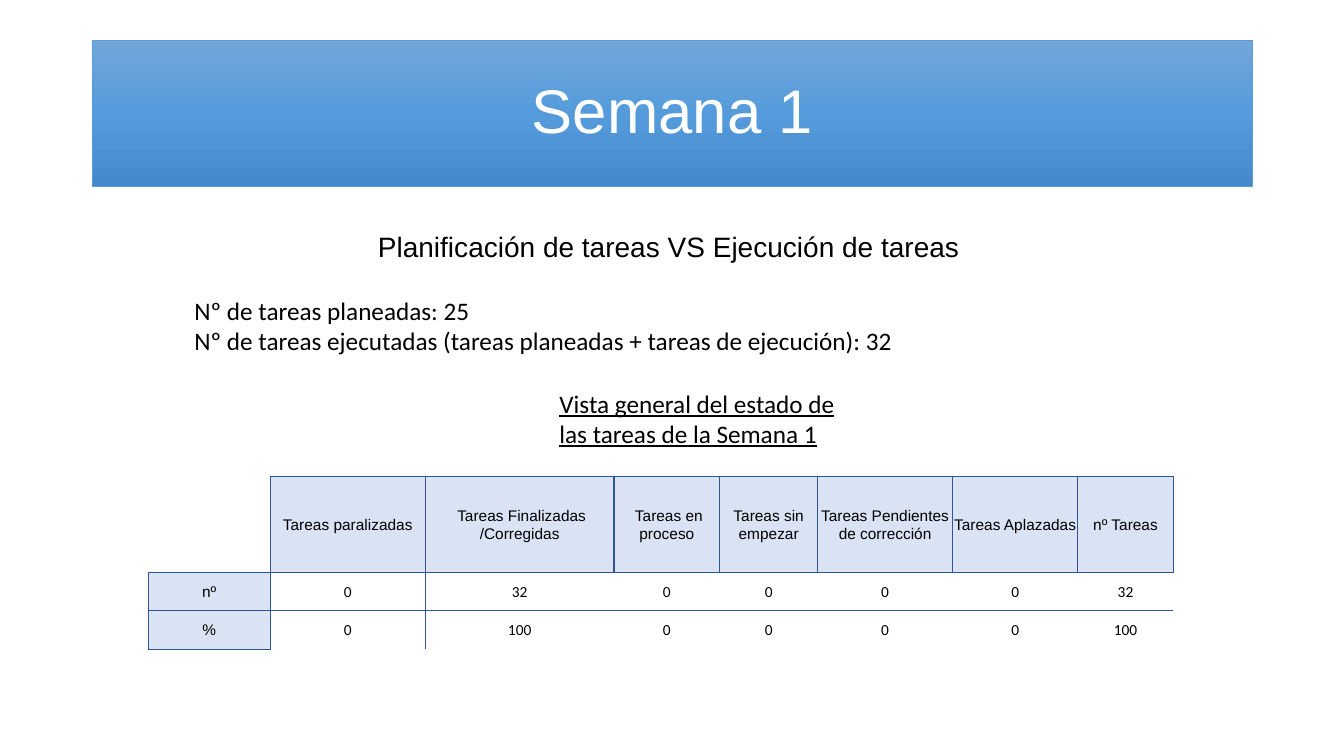
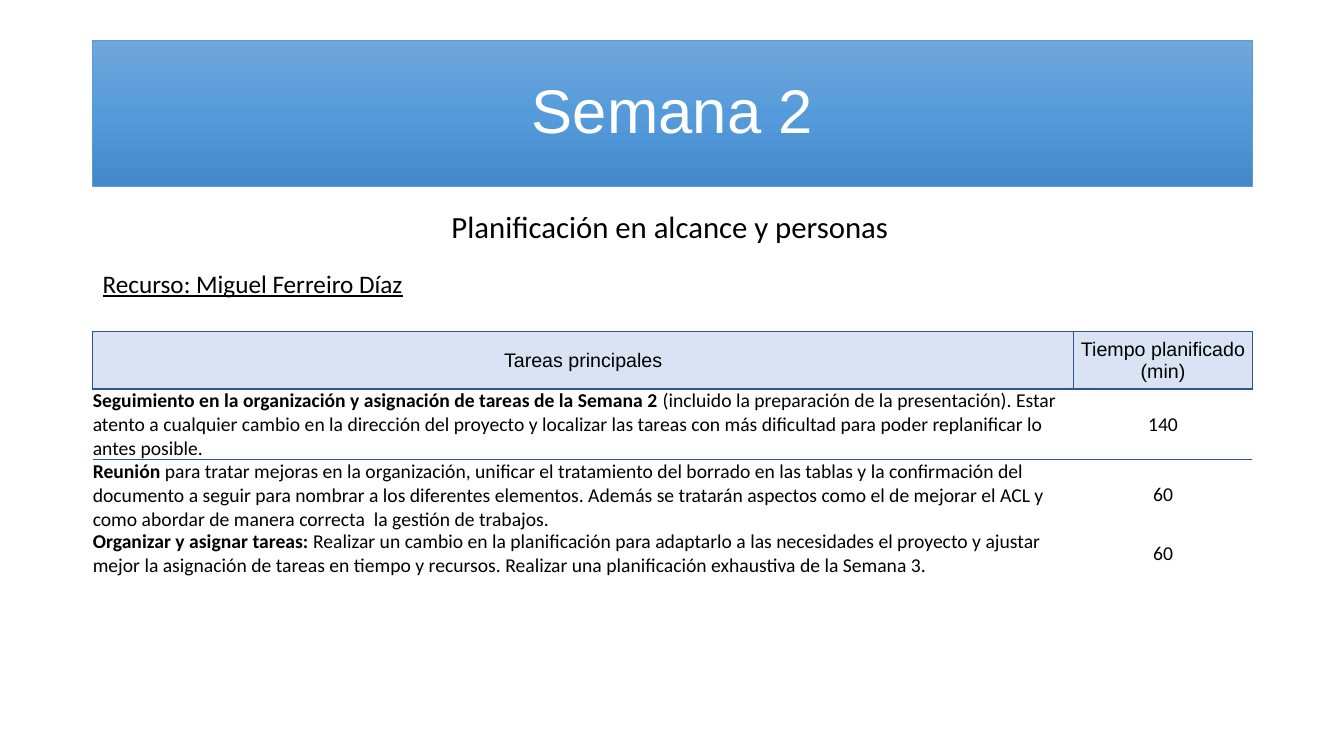
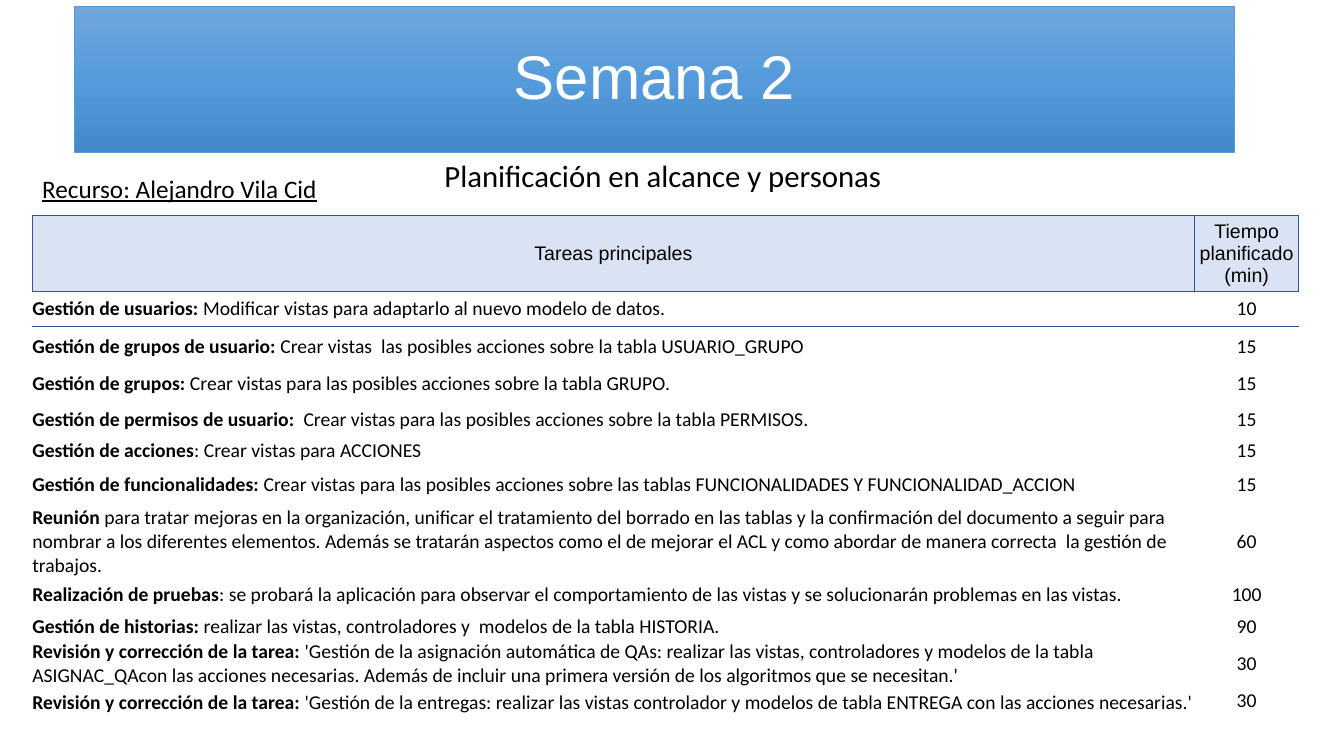
"""Builds three weekly planning slides with title bands and task tables."""
from lxml import etree
from pptx import Presentation
from pptx.dml.color import RGBColor
from pptx.enum import text
from pptx.oxml import ns
from pptx.util import Inches, Pt

BLACK = RGBColor(0x00, 0x00, 0x00)
WHITE = RGBColor(0xFF, 0xFF, 0xFF)
HEAD_FILL = RGBColor(0xDA, 0xE3, 0xF3)
BORDER = RGBColor(0x2F, 0x55, 0x97)
BAND_LINE = RGBColor(0x5B, 0x9B, 0xD5)
BAND_STOPS = [
    (0, RGBColor(0x71, 0xA6, 0xDB)),
    (50, RGBColor(0x55, 0x9B, 0xDB)),
    (100, RGBColor(0x44, 0x8A, 0xCA)),
]
HEAD_FONT, BODY_FONT = "Arial", "Calibri"
NO_STYLE = "{2D5ABB26-0587-4C30-8999-92F81FD0307C}"
SIDES = {"lnL": (0, -1), "lnR": (0, 1), "lnT": (-1, 0), "lnB": (1, 0)}

CENTER = text.PP_ALIGN.CENTER
LEFT = text.PP_ALIGN.LEFT
MIDDLE = text.MSO_ANCHOR.MIDDLE
BOTTOM = text.MSO_ANCHOR.BOTTOM

SCOPE = "Planificación en alcance y personas"
TASK_HEAD = ["Tareas principales", "Tiempo planificado (min)"]
MEETING = (("Reunión", " para tratar mejoras en la organización, unificar el tratamiento del borrado en las tablas y la "
            "confirmación del documento a seguir para nombrar a los diferentes elementos. Además se tratarán aspectos "
            "como el de mejorar el ACL y como abordar de manera correcta  la gestión de trabajos."), "60")

STATUS = [
    ["", "Tareas paralizadas", " Tareas Finalizadas /Corregidas", " Tareas en proceso", "Tareas sin empezar",
     "Tareas Pendientes de corrección", "Tareas Aplazadas", "nº Tareas"],
    ["nº", "0", "32", "0", "0", "0", "0", "32"],
    ["%", "0", "100", "0", "0", "0", "0", "100"],
]
LEAD_TASKS = [
    TASK_HEAD,
    (("Seguimiento en la organización y asignación de tareas de la Semana 2 ",
      "(incluido la preparación de la presentación). Estar atento a cualquier cambio en la dirección del proyecto y "
      "localizar las tareas con más dificultad para poder replanificar lo antes posible."), "140"),
    MEETING,
    (("Organizar y asignar tareas: ",
      "Realizar un cambio en la planificación para adaptarlo a las necesidades el proyecto y ajustar mejor la "
      "asignación de tareas en tiempo y recursos. Realizar una planificación exhaustiva de la Semana 3."), "60"),
]
VIEW_TASKS = [
    TASK_HEAD,
    (("Gestión de usuarios: ", "Modificar vistas para adaptarlo al nuevo modelo de datos."), "10"),
    (("Gestión de grupos de usuario:", " Crear vistas  las posibles acciones sobre la tabla USUARIO_GRUPO"), "15"),
    (("Gestión de grupos: ", "Crear vistas para las posibles acciones sobre la tabla GRUPO."), "15"),
    (("Gestión de permisos de usuario:  ", "Crear vistas para las posibles acciones sobre la tabla PERMISOS."), "15"),
    (("Gestión de acciones", ": Crear vistas para ACCIONES"), "15"),
    (("Gestión de funcionalidades:", " Crear vistas para las posibles acciones sobre las tablas FUNCIONALIDADES Y "
      "FUNCIONALIDAD_ACCION"), "15"),
    MEETING,
    (("Realización de pruebas", ": se probará la aplicación para observar el comportamiento de las vistas y se "
      "solucionarán problemas en las vistas."), "100"),
    (("Gestión de historias: ", "realizar las vistas, controladores y  modelos de la tabla HISTORIA."), "90"),
    (("Revisión y corrección de la tarea:", " 'Gestión de la asignación automática de QAs: realizar las vistas, "
      "controladores y modelos de la tabla ASIGNAC_QAcon las acciones necesarias. Además de incluir una primera "
      "versión de los algoritmos que se necesitan.'"), "30"),
    (("Revisión y corrección de la tarea: ", "'Gestión de la entregas: realizar las vistas controlador y modelos de "
      "tabla ENTREGA con las acciones necesarias.'"), "30"),
]


def set_attrs(obj, values):
    """Set each named attribute of an object."""
    for name, value in values.items():
        setattr(obj, name, value)


def add_run(p, content, size, font, color=BLACK, **extra):
    """Add one formatted run to a paragraph."""
    r = p.add_run()
    r.text = content
    set_attrs(r.font, {"size": Pt(size), "name": font, **extra})
    r.font.color.rgb = color


def sub(parent, tag, **attrs):
    """Append a DrawingML element."""
    return etree.SubElement(parent, ns.qn("a:" + tag), attrs)


def place(sp, left, top, width, height):
    """Move and size a shape, in inches."""
    set_attrs(sp, {"left": Inches(left), "top": Inches(top), "width": Inches(width), "height": Inches(height)})


def fill_band(sp):
    """Give a shape the vertical band gradient."""
    sp.fill.gradient()
    grad = sp._element.spPr.find(ns.qn("a:gradFill"))
    for child in list(grad):
        grad.remove(child)
    stops = sub(grad, "gsLst")
    for pos, color in BAND_STOPS:
        sub(sub(stops, "gs", pos=str(pos * 1000)), "srgbClr", val=str(color))
    sub(grad, "lin", ang="5400000", scaled="0")


def add_slide(prs, title, left=0.92, top=0.4):
    """Add a slide with the title band."""
    s = prs.slides.add_slide(prs.slide_layouts[5])
    sp = s.shapes.title
    place(sp, left, top, 11.5, 1.45)
    fill_band(sp)
    sp.line.color.rgb = BAND_LINE
    sp.line.width = Pt(0.5)
    tf = sp.text_frame
    set_attrs(tf, {"vertical_anchor": MIDDLE, "word_wrap": True, "auto_size": text.MSO_AUTO_SIZE.NONE})
    p = tf.paragraphs[0]
    set_attrs(p, {"alignment": CENTER, "line_spacing": 0.9})
    add_run(p, title, 44, HEAD_FONT, WHITE)
    return s


def add_text(s, box, lines, size=18, font=BODY_FONT, **extra):
    """Add a wrapping text box with one paragraph per line."""
    sp = s.shapes.add_textbox(0, 0, 0, 0)
    place(sp, *box)
    tf = sp.text_frame
    tf.word_wrap = True
    for i, line in enumerate(lines):
        p = tf.add_paragraph() if i else tf.paragraphs[0]
        add_run(p, line, size, font, **extra)


def add_border(cell, side):
    """Draw one edge of a table cell."""
    ln = sub(cell._tc.get_or_add_tcPr(), side, w=str(Pt(1)))
    sub(sub(ln, "solidFill"), "srgbClr", val=str(BORDER))


def format_cell(cell, content, head, size, margin, anchor):
    """Fill a cell with text; a pair is a bold lead and its description."""
    margins = {"margin_" + side: Inches(margin) for side in ("left", "right", "top")}
    set_attrs(cell, {**margins, "margin_bottom": 0, "vertical_anchor": anchor})
    if head:
        cell.fill.solid()
        cell.fill.fore_color.rgb = HEAD_FILL
    else:
        cell.fill.background()
    p = cell.text_frame.paragraphs[0]
    font = HEAD_FONT if head else BODY_FONT
    if isinstance(content, tuple):
        p.alignment = LEFT
        for part, bold in zip(content, (True, False)):
            add_run(p, part, size, font, bold=bold)
    elif content:
        p.alignment = CENTER
        add_run(p, content, size, font, bold=False)


def add_table(s, left, top, cols, heights, rows, size=14, margin=0, row_heads=False, low_rows=0):
    """Add a table with bordered heads; the last low_rows descriptions sit at the bottom."""
    frame = s.shapes.add_table(len(rows), len(cols), Inches(left), Inches(top),
                               Inches(sum(cols)), Inches(sum(heights)))
    table = frame.table
    set_attrs(table, {"first_row": False, "horz_banding": False})
    table._tbl.tblPr.find(ns.qn("a:tableStyleId")).text = NO_STYLE
    for col, width in zip(table.columns, cols):
        col.width = Inches(width)
    for row, height in zip(table.rows, heights):
        row.height = Inches(height)
    heads = {(i, j) for i, row in enumerate(rows) for j, content in enumerate(row)
             if content and (i == 0 or row_heads and j == 0)}
    for i, row in enumerate(rows):
        for j, content in enumerate(row):
            cell = table.cell(i, j)
            for side, (di, dj) in SIDES.items():
                if heads & {(i, j), (i + di, j + dj)}:
                    add_border(cell, side)
            low = j == 0 and i >= len(rows) - low_rows
            format_cell(cell, content, (i, j) in heads, size, margin, BOTTOM if low else MIDDLE)


def main():
    """Build and save the presentation."""
    prs = Presentation()
    set_attrs(prs, {"slide_width": Inches(13.33), "slide_height": Inches(7.5)})

    s = add_slide(prs, "Semana 1")
    add_text(s, (3.65, 2.23, 6.04, 0.44), ["Planificación de tareas VS Ejecución de tareas"], 20, HEAD_FONT)
    add_table(s, 1.47, 4.73, [1.21, 1.54, 1.87, 1.05, 0.97, 1.34, 1.24, 0.95], [0.95, 0.38, 0.38],
              STATUS, size=11, margin=0.01, row_heads=True)
    add_text(s, (1.83, 2.88, 7.47, 0.71), ["Nº de tareas planeadas: 25",
             "Nº de tareas ejecutadas (tareas planeadas + tareas de ejecución): 32"])
    add_text(s, (5.45, 3.8, 3.05, 0.71), ["Vista general del estado de las tareas de la Semana 1"], underline=True)

    s = add_slide(prs, "Semana 2")
    add_text(s, (4.38, 2.01, 4.57, 0.47), [SCOPE], 22)
    add_text(s, (0.92, 2.61, 3.67, 0.4), ["Recurso: Miguel Ferreiro Díaz"], underline=True)
    add_table(s, 0.92, 3.29, [9.73, 1.77], [0.57, 0.7, 0.7, 0.47], LEAD_TASKS, low_rows=1)

    s = add_slide(prs, "Semana 2", 0.74, 0.06)
    add_text(s, (4.31, 1.51, 4.57, 0.47), [SCOPE], 22)
    add_text(s, (0.32, 1.67, 3.67, 0.4), ["Recurso: Alejandro Vila Cid"], underline=True)
    add_table(s, 0.32, 2.14, [11.53, 1.03],
              [0.75, 0.35, 0.4, 0.34, 0.37, 0.25, 0.42, 0.7, 0.37, 0.26, 0.47, 0.27], VIEW_TASKS, low_rows=2)

    prs.save("out.pptx")


if __name__ == "__main__":
    main()
